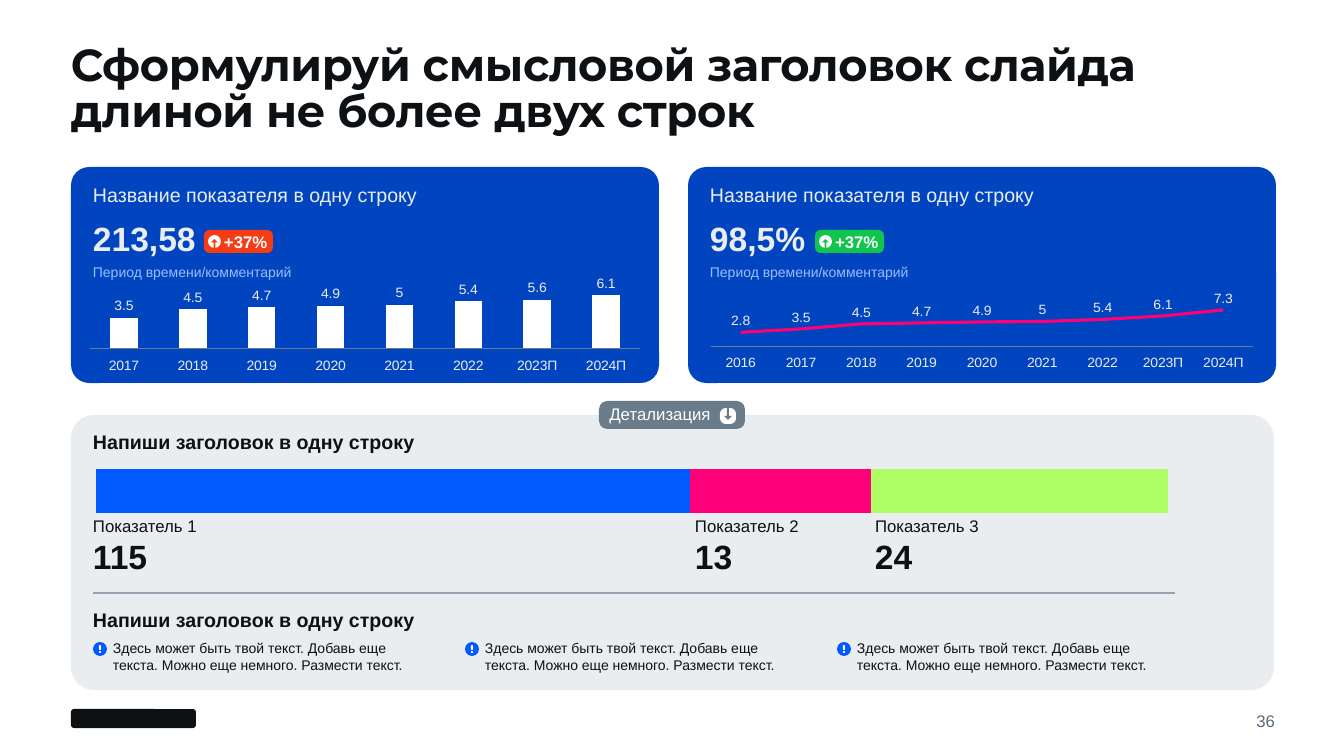
"""Build a dashboard slide with two indicator cards and a detail panel."""
from lxml.etree import SubElement
from pptx import Presentation
from pptx.chart.data import CategoryChartData
from pptx.dml.color import RGBColor
from pptx.enum.chart import XL_CHART_TYPE, XL_LABEL_POSITION, XL_TICK_LABEL_POSITION, XL_TICK_MARK
from pptx.enum.shapes import MSO_CONNECTOR, MSO_SHAPE
from pptx.enum.text import MSO_ANCHOR, PP_ALIGN
from pptx.oxml import parse_xml
from pptx.oxml.ns import nsdecls, qn
from pptx.util import Pt

PX = 12192000 / 1344
INK, PALE, WHITE, SLATE = "0E1114", "EAEDEF", "FFFFFF", "6A7B89"
BLUE, PINK, LIME = "005AFF", "FF0078", "AEFF65"
color = RGBColor.from_string

deck = Presentation()
deck.slide_width, deck.slide_height = round(1344 * PX), round(756 * PX)
page = deck.slides.add_slide(deck.slide_layouts[6])


def add_shape(kind, place, fill, adjustment=None):
    shape = page.shapes.add_shape(kind, *[round(length * PX) for length in place])
    shape.shadow.inherit = False
    shape.fill.solid()
    shape.fill.fore_color.rgb = color(fill)
    shape.line.fill.background()
    if adjustment is not None:
        shape.adjustments[0] = adjustment
    return shape


def add_text(text, place, size, fill, bold=False, spacing=0.9, after=6, face="Arial"):
    box = page.shapes.add_textbox(*[round(length * PX) for length in place])
    frame = box.text_frame
    frame.word_wrap = True
    frame.margin_left = frame.margin_top = frame.margin_right = frame.margin_bottom = 0
    frame.text = text
    para = frame.paragraphs[0]
    para.line_spacing = spacing
    para.space_after = Pt(after)
    font = para.runs[0].font
    font.name, font.size, font.bold = face, Pt(size), bold
    font.color.rgb = color(fill)
    return box


add_shape(MSO_SHAPE.ROUNDED_RECTANGLE, (71, 709, 125, 19), INK)
number = add_text("36", (1175, 709, 100, 24), 12, "5A6C7D", spacing=1.0, after=0)
number.text_frame.vertical_anchor = MSO_ANCHOR.MIDDLE
number.text_frame.paragraphs[0].alignment = PP_ALIGN.RIGHT
title = add_text("Сформулируй смысловой заголовок слайда длиной не более двух строк",
                 (71, 45, 1203, 76), 32, INK, True, 0.85, 0, "Montserrat")
title.text_frame.paragraphs[0].runs[0].font._element.set("spc", "-30")

cards = [("213,58", 204, "F53C14"), ("98,5%", 815, "10C44C")]
for index, (value, badge_left, badge_fill) in enumerate(cards):
    left = 71 + 617 * index
    add_shape(MSO_SHAPE.ROUNDED_RECTANGLE, (left, 167, 588, 216), "0044BF", 0.084)
    add_text("Название показателя в одну строку", (left + 22, 186, 360, 25), 14, PALE)
    add_text(value, (left + 22, 222, 112, 35), 24, PALE, True)
    add_text("Период времени/комментарий", (left + 22, 265, 206, 16), 10, "99BDFF")
    add_shape(MSO_SHAPE.ROUNDED_RECTANGLE, (badge_left, 230, 69, 23), badge_fill, 0.238)
    add_text("+37%", (badge_left + 20, 234, 46, 16), 12, WHITE, True)
    add_shape(MSO_SHAPE.OVAL, (badge_left + 4, 235, 13, 13), WHITE)
    add_shape(MSO_SHAPE.UP_ARROW, (badge_left + 7, 239, 7, 9), badge_fill, 0.25)

add_shape(MSO_SHAPE.ROUNDED_RECTANGLE, (71, 415, 1203, 275), PALE, 0.084)
for top in (433, 611):
    add_text("Напиши заголовок в одну строку", (93, top, 360, 25), 14, INK, True)

divider = page.shapes.add_connector(
    MSO_CONNECTOR.STRAIGHT, *[round(length * PX) for length in (1175, 593, 93, 593)])
divider.line.color.rgb = color("96A3AE")
divider.line.width = Pt(1)
SubElement(divider._element.spPr, qn("a:effectLst"))

years = ["2016", "2017", "2018", "2019", "2020", "2021", "2022", "2023П", "2024П"]
charts = [
    (XL_CHART_TYPE.LINE, (710, 291, 544, 80), years,
     [(PINK, [2.8, 3.5, 4.5, 4.7, 4.9, 5, 5.4, 6.1, 7.3])], (0, 0.03, 1, 0.65), 10),
    (XL_CHART_TYPE.COLUMN_CLUSTERED, (89, 276, 552, 98), years[1:],
     [(WHITE, [3.5, 4.5, 4.7, 4.9, 5, 5.4, 5.6, 6.1])], (0, 0, 1, 0.73), 8),
    (XL_CHART_TYPE.BAR_STACKED_100, (74, 434, 1116, 114), ["1"],
     [(BLUE, [56]), (PINK, [17]), (LIME, [28])], (0.02, 0.02, 0.96, 0.96), 1),
]
for kind, place, categories, series_list, layout, maximum in charts:
    data = CategoryChartData()
    data.categories = categories
    for index, (fill, values) in enumerate(series_list, 1):
        data.add_series(f"Series {index}", values)
    chart = page.shapes.add_chart(kind, *[round(length * PX) for length in place], data).chart
    chart.has_title = chart.has_legend = False
    chart.font.name, chart.font.size = "Arial", Pt(10)
    chart.font.color.rgb = color(INK)
    chart.value_axis.visible = chart.value_axis.has_major_gridlines = False
    chart.value_axis.minimum_scale, chart.value_axis.maximum_scale = 0, maximum

    plot = chart.plots[0]
    plot.vary_by_categories = False
    is_line = kind == XL_CHART_TYPE.LINE
    if not is_line:
        plot.gap_width = 150
    for series, (fill, values) in zip(plot.series, series_list):
        if is_line:
            series.smooth = False
            series.format.line.color.rgb = color(fill)
            series.format.line.width = Pt(2.25)
        else:
            series.invert_if_negative = False
            series.format.fill.solid()
            series.format.fill.fore_color.rgb = color(fill)

    axis = chart.category_axis
    if len(series_list) > 1:
        plot.overlap = 100
        axis.visible = False
    else:
        axis.major_tick_mark = axis.minor_tick_mark = XL_TICK_MARK.NONE
        axis.tick_label_position = XL_TICK_LABEL_POSITION.LOW
        axis.format.line.color.rgb = color(SLATE)
        axis.format.line.width = Pt(0.75)
        labels = plot.series[0].data_labels
        labels.show_value = True
        labels.position = XL_LABEL_POSITION.ABOVE if is_line else XL_LABEL_POSITION.OUTSIDE_END
        for font in (axis.tick_labels.font, labels.font):
            font.name, font.size = "Arial", Pt(10)
            font.color.rgb = color(PALE)

    area = chart._chartSpace.chart.plotArea
    for old_layout in area.findall(qn("c:layout")):
        area.remove(old_layout)
    sizes = "".join(f'<c:{name} val="{share}"/>' for name, share in zip("xywh", layout))
    area.insert(0, parse_xml(
        f'<c:layout {nsdecls("c")}><c:manualLayout><c:layoutTarget val="inner"/>'
        f'<c:xMode val="edge"/><c:yMode val="edge"/>{sizes}</c:manualLayout></c:layout>'))

for index, (left, value) in enumerate([(93, "115"), (695, "13"), (875, "24")], 1):
    add_text(f"Показатель {index}", (left, 518, 111, 16), 12, INK)
    add_text(value, (left, 541, 70, 35), 24, INK, True)

for index in range(3):
    left = 93 + 372 * index
    add_text("Здесь может быть твой текст. Добавь еще текста. Можно еще немного. Размести текст.",
             (left + 20, 640, 315, 35), 10, INK, spacing=1.0, after=4)
    add_shape(MSO_SHAPE.OVAL, (left, 642, 14, 14), BLUE)
    add_shape(MSO_SHAPE.ROUNDED_RECTANGLE, (left + 6, 645, 2, 5), WHITE, 0.5)
    add_shape(MSO_SHAPE.OVAL, (left + 6, 651, 2, 2), WHITE)

pill = add_shape(MSO_SHAPE.ROUNDED_RECTANGLE, (599, 401, 146, 28), SLATE, 0.294)
frame = pill.text_frame
frame.margin_left = frame.margin_right = round(8 * PX)
frame.margin_top, frame.margin_bottom = round(2 * PX), round(4 * PX)
frame.vertical_anchor = MSO_ANCHOR.MIDDLE
frame.text = "Детализация"
frame.paragraphs[0].alignment = PP_ALIGN.LEFT
span = frame.paragraphs[0].runs[0]
span.font.name, span.font.size = "Arial", Pt(12)
span.font.color.rgb = color(WHITE)
add_shape(MSO_SHAPE.ROUNDED_RECTANGLE, (720, 408, 16, 16), WHITE, 0.35)
add_shape(MSO_SHAPE.DOWN_ARROW, (724, 408, 8, 12), SLATE, 0.25)

deck.save("out.pptx")
